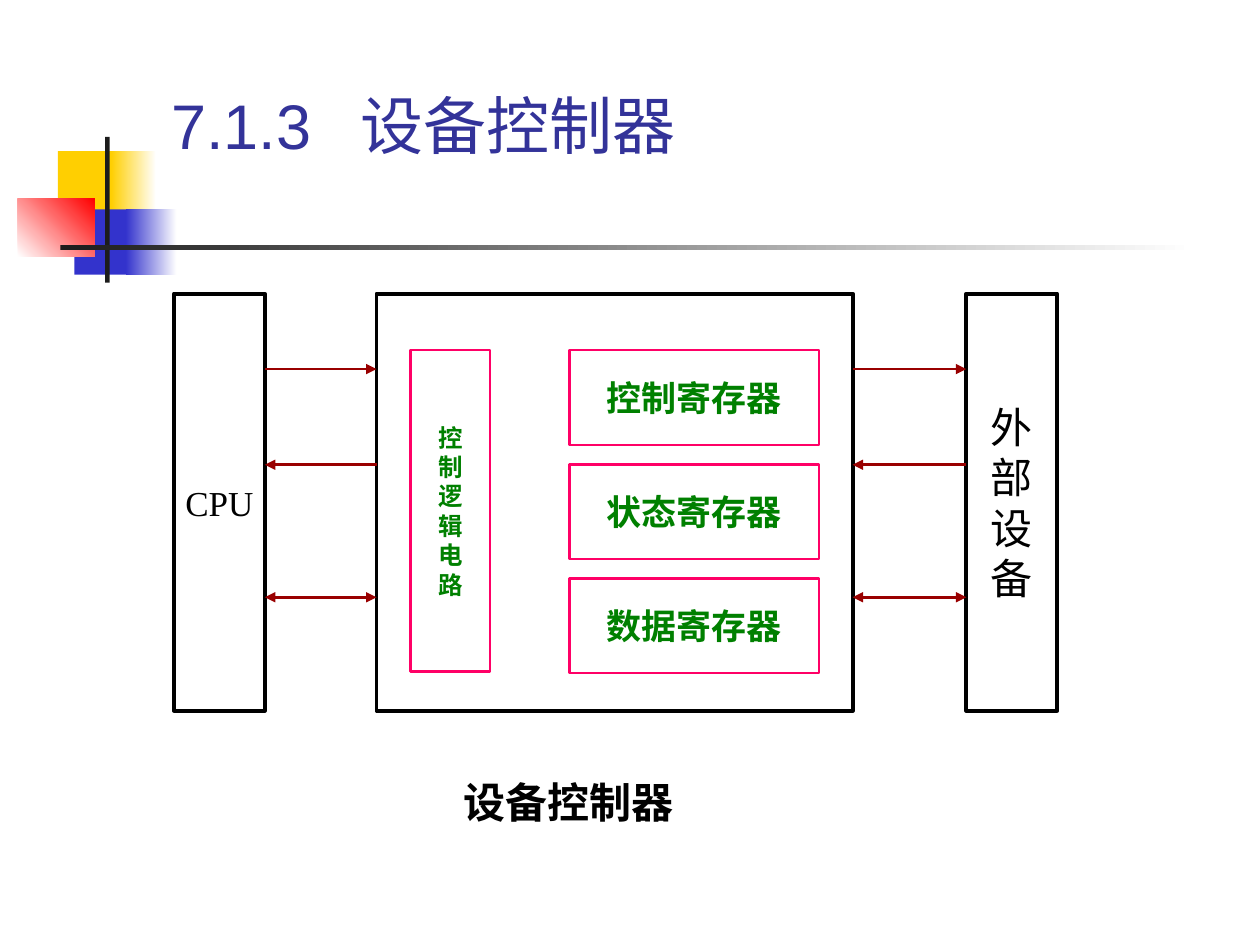
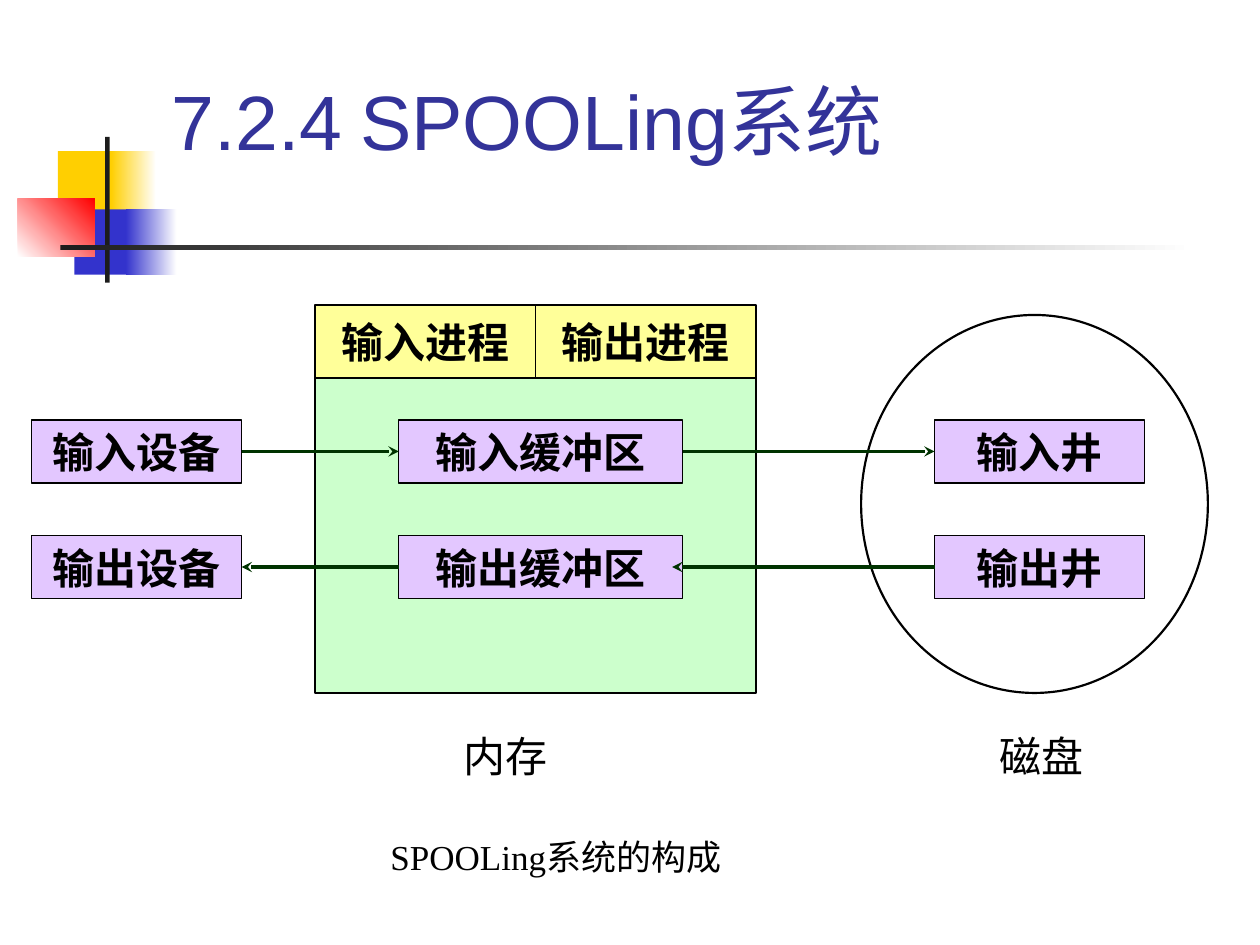
"""Build two operating-system slides: the device controller and the SPOOLing system."""
from lxml import etree
from pptx import Presentation
from pptx import util as u
from pptx.dml.color import RGBColor
from pptx.enum import shapes, text
from pptx.oxml.ns import qn

COLOURS = {
    "black": "000000", "white": "FFFFFF", "title": "333399",
    "gold": "FFCF01", "blue": "3333CC", "red": "FF0000", "bar": "1C1C1C",
    "pink": "FF0066", "green": "008000", "signal": "990000",
    "process": "FFFF99", "memory": "CCFFCC", "buffer": "E3C7FF", "flow": "003300",
}
SERIF, SANS, BODY = "Times New Roman", "Arial", "Karla"
RECT, OVAL = shapes.MSO_SHAPE.RECTANGLE, shapes.MSO_SHAPE.OVAL
CENTER, LEFT, JUSTIFY = (text.PP_ALIGN.CENTER, text.PP_ALIGN.LEFT,
                         text.PP_ALIGN.JUSTIFY)


def rgb(name):
    return RGBColor.from_string(COLOURS[name])


def cm(*lengths):
    return [u.Cm(length) for length in lengths]


def write(frame, words, size, font, colour="black", bold=False, align=CENTER):
    frame.text = words
    for para in frame.paragraphs:
        para.alignment = align
        para.font.size = u.Pt(size)
        para.font.name = font
        para.font.bold = bold
        para.font.color.rgb = rgb(colour)


def add_box(page, place, fill=None, line=None, width=0.75, kind=RECT):
    box = page.shapes.add_shape(kind, *cm(*place))
    box.shadow.inherit = False
    if fill:
        box.fill.solid()
        box.fill.fore_color.rgb = rgb(fill)
    else:
        box.fill.background()
    if line:
        box.line.color.rgb = rgb(line)
        box.line.width = u.Pt(width)
    else:
        box.line.fill.background()
    return box


def add_labelled_box(page, place, words, size, font, colour="black", bold=False, **look):
    box = add_box(page, place, **look)
    box.text_frame.word_wrap = False
    box.text_frame.vertical_anchor = text.MSO_ANCHOR.MIDDLE
    write(box.text_frame, words, size, font, colour, bold)


def add_fade(page, place, start, end, angle=0):
    box = add_box(page, place)
    box.fill.gradient()
    box.fill.gradient_angle = angle
    for stop, colour, position in zip(box.fill.gradient_stops, (start, end), (0, 1)):
        stop.color.rgb = rgb(colour)
        stop.position = position
    return box


def add_caption(page, place, words, size, font, bold=False, align=LEFT):
    box = page.shapes.add_textbox(*cm(*place))
    box.text_frame.word_wrap = True
    write(box.text_frame, words, size, font, bold=bold, align=align)


def add_arrow(page, start, end, y, colour, width, head, both=False):
    arrow = page.shapes.add_connector(shapes.MSO_CONNECTOR.STRAIGHT, *cm(start, y, end, y))
    arrow.line.color.rgb = rgb(colour)
    arrow.line.width = u.Pt(width)
    line = arrow.line._get_or_add_ln()
    for tag in ("a:headEnd", "a:tailEnd") if both else ("a:tailEnd",):
        etree.SubElement(line, qn(tag), type=head)
    etree.SubElement(arrow.element.spPr, qn("a:effectLst"))


def decorate_layout(layout, page):
    """Move the corner squares and bars to the layout that both slides share."""
    parts = [
        add_box(page, (1.17, 3.05, 1.22, 1.32), fill="gold"),
        add_fade(page, (2.24, 3.05, 0.91, 1.32), "gold", "white"),
        add_box(page, (1.5, 4.22, 1.17, 1.32), fill="blue"),
        add_fade(page, (2.54, 4.22, 1.02, 1.32), "blue", "white"),
        add_fade(page, (0.36, 4.01, 1.55, 1.17), "white", "red", 45),
        add_box(page, (2.12, 2.76, 0.09, 2.94), fill="bar"),
        add_fade(page, (1.22, 4.94, 22.86, 0.1), "bar", "white"),
    ]
    for number, part in enumerate(parts, 20):
        part.element.nvSpPr.cNvPr.set("id", str(number))
        layout.shapes.element.append(part.element)


def set_title(page, number, words, top, size, tab):
    title = page.shapes.title
    title.left, title.top, title.width, title.height = cm(3.2, top, 21.64, 3.18)
    frame = title.text_frame
    frame.auto_size = text.MSO_AUTO_SIZE.NONE
    frame.vertical_anchor = text.MSO_ANCHOR.BOTTOM
    frame.margin_bottom = u.Cm(0.13) + u.Pt(size * 1.17)
    tabs = etree.SubElement(frame.paragraphs[0]._p.get_or_add_pPr(), qn("a:tabLst"))
    etree.SubElement(tabs, qn("a:tab"), pos=str(u.Cm(tab)), algn="l")
    write(frame, f"{number}\t{words}", size, SANS, "title", align=LEFT)


def draw_controller(page):
    set_title(page, "7.1.3", "设备控制器", 1.7, 36, 3.8)
    top, height, side = 5.92, 8.41, 1.83
    cpu, controller, device, controller_width = 3.51, 7.59, 19.48, 9.6
    frame = dict(line="black", width=2.25)
    part = dict(colour="green", bold=True, line="pink", width=1.5)
    add_labelled_box(page, (cpu, top, side, height), "CPU", 20, SERIF, **frame)
    add_box(page, (controller, top, controller_width, height), **frame)
    add_labelled_box(page, (device, top, side, height), "\n".join("外部设备"), 24, SERIF, **frame)
    add_labelled_box(page, (8.28, 7.06, 1.6, 6.48), "\n".join("控制逻辑电路"), 14, SERIF, **part)
    for row, kind in enumerate(("控制", "状态", "数据")):
        add_labelled_box(page, (11.48, 7.06 + row * 2.3, 5.03, 1.91),
                         kind + "寄存器", 20, SERIF, **part)
    for start, end in ((cpu + side, controller), (controller + controller_width, device)):
        add_arrow(page, start, end, 7.44, "signal", 1.5, "triangle")
        add_arrow(page, end, start, 9.37, "signal", 1.5, "triangle")
        add_arrow(page, start, end, 12.04, "signal", 1.5, "triangle", both=True)
    add_caption(page, (9.09, 15.52, 6.15, 1.27), "设备控制器", 24, BODY, bold=True)


def draw_spooling(page):
    set_title(page, "7.2.4", "SPOOLing系统", 2.11, 44, 4.65)
    add_caption(page, (7.62, 16.72, 7.87, 1.11), "SPOOLing系统的构成", 20, SERIF, align=JUSTIFY)
    process_width = 4.445
    add_box(page, (6.35, 7.62, 2 * process_width, 6.35), fill="memory", line="black")
    add_box(page, (17.36, 6.35, 6.99, 7.62), fill="white", line="black", width=1.25, kind=OVAL)
    device, buffer, well, width, buffer_width = 0.64, 8.04, 18.84, 4.23, 5.72
    columns = ((device, width, "设备"), (buffer, buffer_width, "缓冲区"), (well, width, "井"))
    for index, way in enumerate(("输入", "输出")):
        add_labelled_box(page, (6.35 + index * process_width, 6.15, process_width, 1.47),
                         way + "进程", 24, BODY, bold=True, fill="process", line="black")
        for left, box_width, thing in columns:
            add_labelled_box(page, (left, 8.47 + index * 2.33, box_width, 1.27),
                             way + thing, 24, BODY, bold=True, fill="buffer", line="black")
    input_y, output_y = 9.1, 11.43
    for start, end, y in ((device + width, buffer, input_y),
                          (buffer + buffer_width, well, input_y),
                          (well, 13.55, output_y),
                          (buffer, device + width, output_y)):
        add_arrow(page, start, end, y, "flow", 2, "stealth")
    for left, words in ((9.09, "内存"), (19.9, "磁盘")):
        add_caption(page, (left, 14.6, 2.96, 1.27), words, 24, BODY)


def main():
    deck = Presentation()
    deck.slide_width, deck.slide_height = cm(25.4, 19.05)
    layout = deck.slide_layouts[5]
    pages = [deck.slides.add_slide(layout) for _ in range(2)]
    decorate_layout(layout, pages[0])
    draw_controller(pages[0])
    draw_spooling(pages[1])
    deck.save("out.pptx")


if __name__ == "__main__":
    main()
